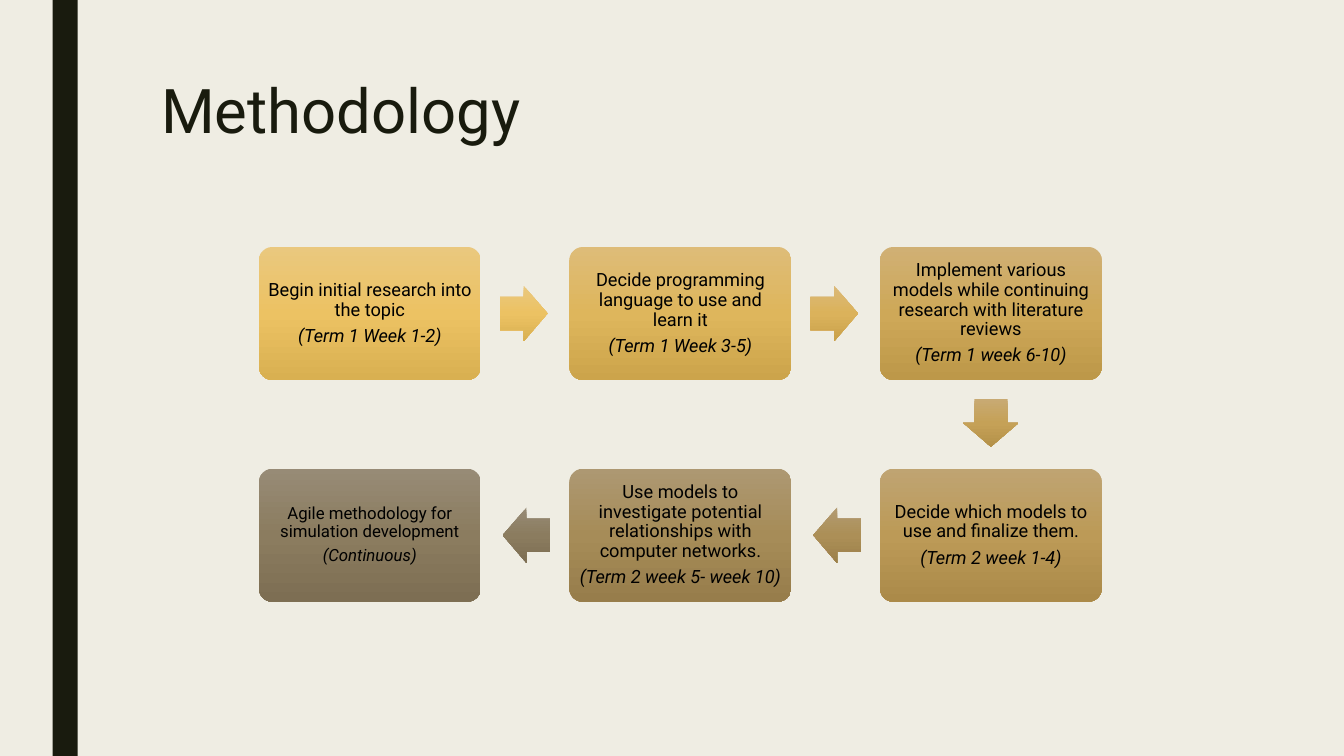
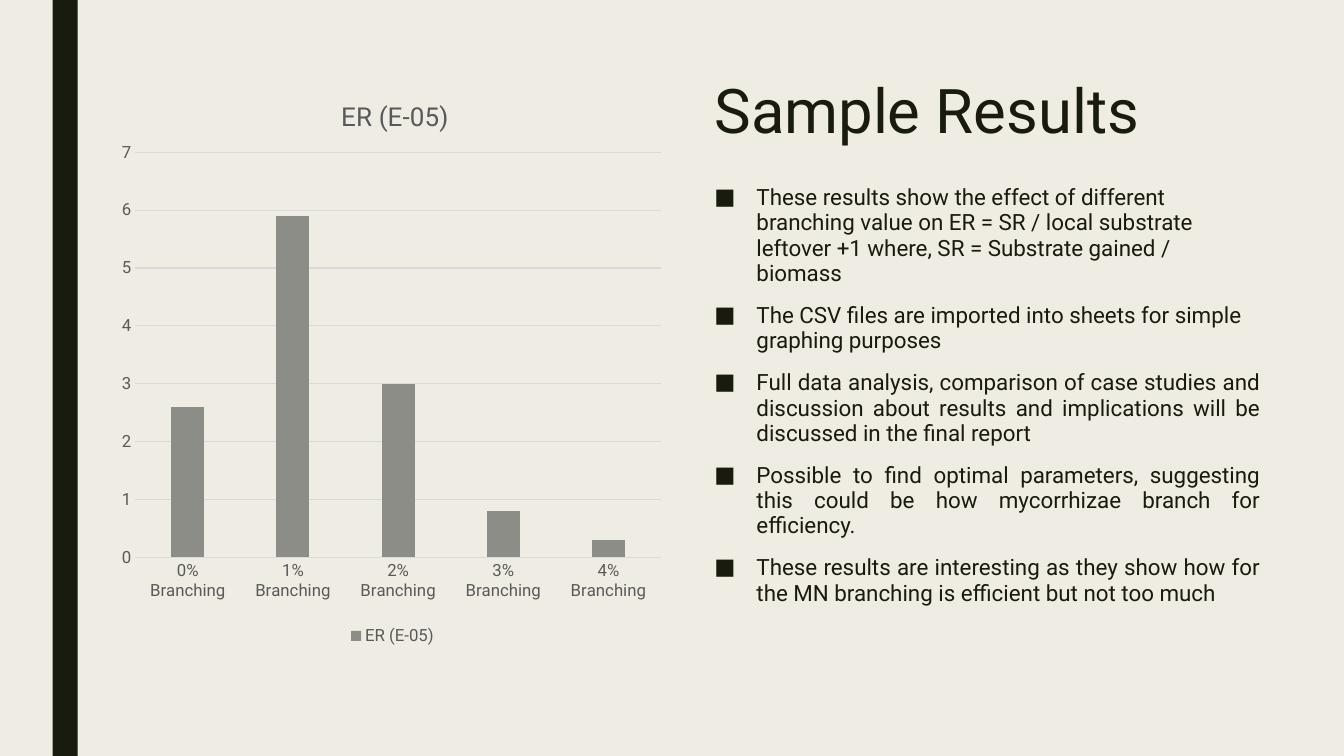
from copy import deepcopy

from lxml import etree
from pptx import Presentation
from pptx.chart.data import CategoryChartData
from pptx.dml.color import RGBColor
from pptx.enum.chart import XL_CHART_TYPE, XL_LEGEND_POSITION, XL_TICK_MARK
from pptx.enum.shapes import MSO_SHAPE
from pptx.enum.text import MSO_ANCHOR, PP_ALIGN
from pptx.oxml.ns import qn
from pptx.util import Pt

RECTANGLE = MSO_SHAPE.RECTANGLE
ROUNDED = MSO_SHAPE.ROUNDED_RECTANGLE
ARROWS = {
    (1, 0): MSO_SHAPE.RIGHT_ARROW,
    (-1, 0): MSO_SHAPE.LEFT_ARROW,
    (0, 1): MSO_SHAPE.DOWN_ARROW,
}
MIDDLE = MSO_ANCHOR.MIDDLE
LEFT, CENTER, JUSTIFY = PP_ALIGN.LEFT, PP_ALIGN.CENTER, PP_ALIGN.JUSTIFY
COLUMN_CLUSTERED = XL_CHART_TYPE.COLUMN_CLUSTERED
LEGEND_BOTTOM = XL_LEGEND_POSITION.BOTTOM
NO_TICK = XL_TICK_MARK.NONE

FONT = "Roboto"
BACKGROUND, INK, BLACK = "EFEDE3", "191B0E", "000000"
CHART_TEXT, CHART_LINE, CHART_BAR = "595959", "D9D9D9", "8C8D86"
SLIDE_WIDTH, SLIDE_HEIGHT = 960, 540

GRID_LEFT, GRID_TOP = 185, 176.4
COLUMN_STEP, ROW_STEP = 221.8, 158.4
BOX_WIDTH, BOX_HEIGHT = 158.4, 95
ARROW_LENGTH, ARROW_BREADTH = 34, 39.6
ARROW_SETBACK = 1

# column, row, text, time, text size, gradient
STEPS = [
    (0, 0, "Begin initial research into the topic", "(Term 1 Week 1-2)", 13,
     ("EAC87E", "ECC263", "D9B051")),
    (1, 0, "Decide programming language to use and learn it", "(Term 1 Week 3-5)", 13,
     ("DEBC78", "DEB65C", "CCA44B")),
    (2, 0, "Implement various models while continuing research with literature reviews",
     "(Term 1 week 6-10)", 13, ("D0B074", "CEA858", "BD9849")),
    (2, 1, "Decide which models to use and finalize them.", "(Term 2 week 1-4)", 13,
     ("BFA472", "BC9A57", "AB8A49")),
    (1, 1, "Use models to investigate potential relationships with computer networks.",
     "(Term 2 week 5- week 10)", 13, ("AD9872", "A68C58", "977D4B")),
    (0, 1, "Agile methodology for simulation development", "(Continuous)", 12,
     ("978B76", "8B7C5F", "7D6E53")),
]
ARROW_GRADIENTS = [
    ("EAC87E", "ECC263", "D9B051"),
    ("DBB977", "DBB25B", "C9A14A"),
    ("C8AA73", "C5A157", "B49149"),
    ("B29B72", "AC8F57", "9C804A"),
    ("978B76", "8B7C5F", "7D6E53"),
]

FINDINGS = [
    ("These results show the effect of different branching value on ER = SR / local "
     "substrate leftover +1 where, SR = Substrate gained / biomass", LEFT),
    ("The CSV files are imported into sheets for simple graphing purposes", LEFT),
    ("Full data analysis, comparison of case studies and discussion about results and "
     "implications will be discussed in the final report", JUSTIFY),
    ("Possible to find optimal parameters, suggesting this could be how mycorrhizae "
     "branch for efficiency.", JUSTIFY),
    ("These results are interesting as they show how for the MN branching is efficient "
     "but not too much", JUSTIFY),
]
SERIES_NAME = "ER (E-05)"
BRANCHING_RESULTS = {
    "0% Branching": 2.6,
    "1% Branching": 5.9,
    "2% Branching": 3,
    "3% Branching": 0.8,
    "4% Branching": 0.3,
}


def rgb(color):
    return RGBColor.from_string(color)


def style_font(font, size, color, italic=False):
    font.name = FONT
    font.size = Pt(size)
    font.color.rgb = rgb(color)
    font.italic = italic


def add_plain_shape(slide, kind, left, top, width, height):
    shape = slide.shapes.add_shape(kind, Pt(left), Pt(top), Pt(width), Pt(height))
    shape.shadow.inherit = False
    shape.line.fill.background()
    return shape


def add_text_frame(slide, left, top, width, height):
    box = slide.shapes.add_textbox(Pt(left), Pt(top), Pt(width), Pt(height))
    box.text_frame.word_wrap = True
    return box.text_frame


def add_slide(presentation, title, title_left, title_width):
    """Add a blank slide with the shared background, side band and title."""
    slide = presentation.slides.add_slide(presentation.slide_layouts[6])
    slide.background.fill.solid()
    slide.background.fill.fore_color.rgb = rgb(BACKGROUND)
    band = add_plain_shape(slide, RECTANGLE, 37.5, 0, 18, SLIDE_HEIGHT)
    band.fill.solid()
    band.fill.fore_color.rgb = rgb(INK)
    paragraph = add_text_frame(slide, title_left, 54, title_width, 116.6).paragraphs[0]
    paragraph.text = title
    paragraph.line_spacing = 0.89
    style_font(paragraph.runs[0].font, 44, INK)
    return slide


def fill_gradient(shape, colors):
    """Fill from top to bottom with three evenly spaced colours."""
    shape.fill.gradient()
    shape.fill.gradient_angle = 270
    stop_list = shape._element.spPr.find(".//" + qn("a:gsLst"))
    stop_list.insert(1, deepcopy(stop_list[0]))
    for index, (stop, color) in enumerate(zip(shape.fill.gradient_stops, colors)):
        stop.position = index / 2
        stop.color.rgb = rgb(color)


def add_step(slide, column, row, text, time, size, colors):
    box = add_plain_shape(slide, ROUNDED, GRID_LEFT + column * COLUMN_STEP,
                          GRID_TOP + row * ROW_STEP, BOX_WIDTH, BOX_HEIGHT)
    box.adjustments[0] = 0.1
    fill_gradient(box, colors)
    frame = box.text_frame
    frame.word_wrap = True
    frame.vertical_anchor = MIDDLE
    frame.margin_left = frame.margin_right = Pt(3.6)
    frame.margin_top = frame.margin_bottom = Pt(3.6)
    frame.text = f"{text}\n{time}"
    for paragraph, italic in zip(frame.paragraphs, (False, True)):
        paragraph.alignment = CENTER
        paragraph.line_spacing = 0.9
        paragraph.space_after = Pt(0.35 * size)
        style_font(paragraph.runs[0].font, size, BLACK, italic)


def add_step_arrow(slide, start, end, colors):
    """Put an arrow in the gap between two neighbouring (column, row) cells."""
    across, down = end[0] - start[0], end[1] - start[1]
    center_x = (GRID_LEFT + BOX_WIDTH / 2 + (start[0] + end[0]) / 2 * COLUMN_STEP
                - across * ARROW_SETBACK)
    center_y = (GRID_TOP + BOX_HEIGHT / 2 + (start[1] + end[1]) / 2 * ROW_STEP
                - down * ARROW_SETBACK)
    width, height = ARROW_LENGTH, ARROW_BREADTH
    if down:
        width, height = height, width
    arrow = add_plain_shape(slide, ARROWS[across, down], center_x - width / 2,
                            center_y - height / 2, width, height)
    arrow.adjustments[0] = 0.6
    arrow.adjustments[1] = 0.5
    fill_gradient(arrow, colors)


def add_bullets(slide, items, left, top, width, height):
    frame = add_text_frame(slide, left, top, width, height)
    frame.text = "\n".join(text for text, _ in items)
    for paragraph, (_, alignment) in zip(frame.paragraphs, items):
        paragraph.alignment = alignment
        paragraph.line_spacing = 0.94
        paragraph.space_before = Pt(10)
        paragraph.space_after = Pt(2)
        style_font(paragraph.runs[0].font, 16, INK)
        properties = paragraph._p.get_or_add_pPr()
        properties.set("marL", str(Pt(30)))
        properties.set("indent", str(-Pt(30)))
        etree.SubElement(properties, qn("a:buFont")).set("typeface", FONT)
        etree.SubElement(properties, qn("a:buChar")).set("char", "■")


def place_chart_part(element, index, **fractions):
    """Give a chart part a fixed place, in fractions of the chart's size."""
    for layout in element.findall(qn("c:layout")):
        element.remove(layout)
    layout = etree.Element(qn("c:layout"))
    element.insert(index, layout)
    manual = etree.SubElement(layout, qn("c:manualLayout"))
    settings = {"xMode": "edge", "yMode": "edge", **fractions}
    if "w" in fractions:
        settings = {"layoutTarget": "inner", **settings}
    for name, value in settings.items():
        etree.SubElement(manual, qn(f"c:{name}")).set("val", str(value))


def add_column_chart(slide, name, results, left, top, width, height):
    data = CategoryChartData()
    data.categories = list(results)
    data.add_series(name, list(results.values()))
    chart = slide.shapes.add_chart(COLUMN_CLUSTERED, Pt(left), Pt(top),
                                   Pt(width), Pt(height), data).chart
    style_font(chart.font, 12, CHART_TEXT)

    title = chart.chart_title
    title.text_frame.text = name
    style_font(title.text_frame.paragraphs[0].runs[0].font, 18.6, CHART_TEXT, False)
    title.text_frame.paragraphs[0].runs[0].font.bold = False
    title.include_in_layout = False
    place_chart_part(title._element, 1, x=0.4, y=0.04)

    chart.has_legend = True
    chart.legend.position = LEGEND_BOTTOM
    chart.legend.include_in_layout = False
    style_font(chart.legend.font, 12, CHART_TEXT)

    for axis in (chart.category_axis, chart.value_axis):
        axis.major_tick_mark = axis.minor_tick_mark = NO_TICK
        style_font(axis.tick_labels.font, 12, CHART_TEXT)
    value_axis = chart.value_axis
    value_axis.minimum_scale, value_axis.maximum_scale = 0, 7
    value_axis.major_unit = 1
    value_axis.format.line.fill.background()
    for line in (chart.category_axis.format.line, value_axis.major_gridlines.format.line):
        line.color.rgb = rgb(CHART_LINE)
        line.width = Pt(0.75)

    plot = chart.plots[0]
    plot.vary_by_categories = False
    plot.gap_width = 219
    plot.overlap = -27
    bars = plot.series[0].format.fill
    bars.solid()
    bars.fore_color.rgb = rgb(CHART_BAR)
    plot_area = chart._chartSpace.find(".//" + qn("c:plotArea"))
    place_chart_part(plot_area, 0, x=0.04, y=0.14, w=0.94, h=0.7)


def add_methodology(presentation):
    slide = add_slide(presentation, "Methodology", 108, 756)
    for step in STEPS:
        add_step(slide, *step)
    for start, end, colors in zip(STEPS, STEPS[1:], ARROW_GRADIENTS):
        add_step_arrow(slide, start[:2], end[:2], colors)


def add_sample_results(presentation):
    slide = add_slide(presentation, "Sample Results", 503.3, 404)
    add_bullets(slide, FINDINGS, 503.3, 129, 404, 282)
    add_column_chart(slide, SERIES_NAME, BRANCHING_RESULTS, 80.6, 51, 399.6, 413.3)


def main():
    presentation = Presentation()
    presentation.slide_width = Pt(SLIDE_WIDTH)
    presentation.slide_height = Pt(SLIDE_HEIGHT)
    add_methodology(presentation)
    add_sample_results(presentation)
    presentation.save("out.pptx")


if __name__ == "__main__":
    main()
